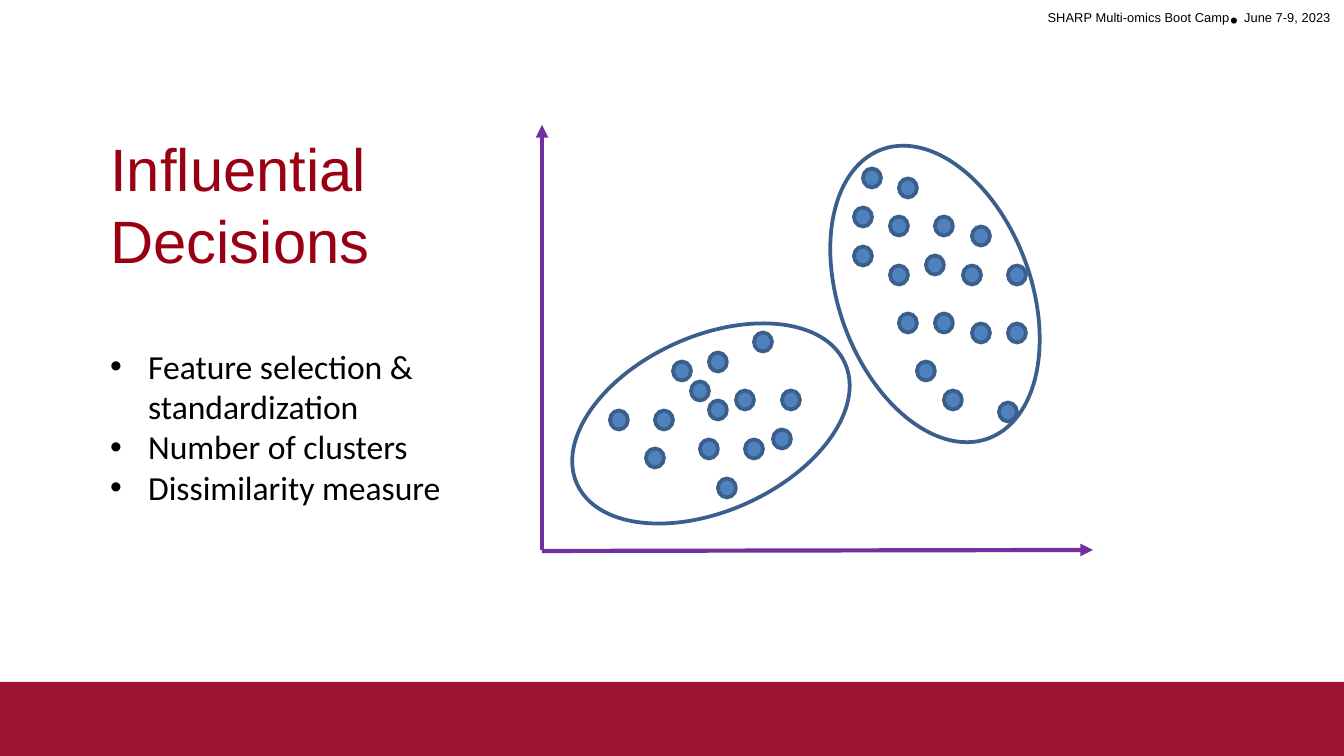
from lxml import etree
from pptx import Presentation
from pptx.dml.color import RGBColor
from pptx.enum.shapes import MSO_CONNECTOR, MSO_SHAPE
from pptx.enum.text import MSO_ANCHOR, MSO_AUTO_SIZE, PP_ALIGN
from pptx.oxml.ns import qn
from pptx.util import Emu, Pt

RECTANGLE, ELLIPSE = MSO_SHAPE.RECTANGLE, MSO_SHAPE.OVAL
STRAIGHT = MSO_CONNECTOR.STRAIGHT
TOP, NO_FIT = MSO_ANCHOR.TOP, MSO_AUTO_SIZE.NONE
LEFT, RIGHT = PP_ALIGN.LEFT, PP_ALIGN.RIGHT

CRIMSON = RGBColor(0x9E, 0x14, 0x35)
TITLE_RED = RGBColor(0x99, 0x00, 0x14)
BLACK = RGBColor(0x00, 0x00, 0x00)
DOT_BLUE = RGBColor(0x4F, 0x81, 0xBD)
OUTLINE_BLUE = RGBColor(0x3A, 0x5F, 0x8C)
PURPLE = RGBColor(0x70, 0x30, 0xA0)

PAGE_SIZE = (1344, 756)
EMU_PER_PX = 914400 * 10 / 1344

HEADER = [("SHARP Multi-omics Boot Camp", True), ("• ", False), ("June 7-9, 2023", True)]
TITLE = "Influential Decisions"
BULLETS = ["Feature selection & standardization", "Number of clusters", "Dissimilarity measure"]

HEADER_BOX = (812, 0, 532, 40)
TITLE_BOX = (97, 125, 396, 160)
BULLET_BOX = (97, 339, 396, 178)
FOOTER_BAR = (0, 682, 1344, 74)
BULLET_INDENT = 38
DOT_WIDTH, DOT_HEIGHT = 18, 19

CLUSTERS = [
    {
        "outline": (781, 198, 308, 192),
        "rotation": 69.7,
        "dots": [
            (872, 178), (908, 188), (863, 217), (899, 226), (944, 226), (981, 236),
            (863, 256), (935, 265), (899, 275), (972, 275), (1017, 275),
            (908, 323), (944, 323), (981, 333), (1017, 333),
            (926, 371), (953, 400), (1008, 412),
        ],
    },
    {
        "outline": (564, 336, 294, 175),
        "rotation": 335.7,
        "dots": [
            (763, 342), (718, 362), (682, 371), (700, 391), (745, 400), (791, 400),
            (718, 410), (619, 420), (664, 420), (782, 439), (709, 449), (754, 449),
            (655, 458), (727, 488),
        ],
    },
]
AXES = [((542, 550), (542, 125)), ((542, 551), (1093, 550))]


def px(value):
    return Emu(round(value * EMU_PER_PX))


def scaled(values):
    return [px(value) for value in values]


def style(font, name, size, color):
    font.name, font.size = name, Pt(size)
    font.color.rgb = color


def add_box(page, place):
    box = page.shapes.add_textbox(*scaled(place))
    box.text_frame.word_wrap = True
    return box.text_frame


def add_preset(page, kind, place, fill=None, line=None):
    shape = page.shapes.add_shape(kind, *scaled(place))
    shape.shadow.inherit = False
    if fill is None:
        shape.fill.background()
    else:
        shape.fill.solid()
        shape.fill.fore_color.rgb = fill
    if line is None:
        shape.line.fill.background()
    else:
        shape.line.color.rgb = line
        shape.line.width = Pt(2)
    return shape


def add_header(page):
    para = add_box(page, HEADER_BOX).paragraphs[0]
    para.alignment = RIGHT
    for text, raised in HEADER:
        span = para.add_run()
        span.text = text
        style(span.font, "Arial", 12, BLACK)
        if raised:
            span._r.get_or_add_rPr().set("baseline", "30000")


def add_title(page):
    title = page.shapes.title
    title.left, title.top, title.width, title.height = scaled(TITLE_BOX)
    frame = title.text_frame
    frame.text = TITLE
    frame.word_wrap, frame.auto_size, frame.vertical_anchor = True, NO_FIT, TOP
    frame.paragraphs[0].alignment = LEFT
    style(frame.paragraphs[0].runs[0].font, "Arial", 32, TITLE_RED)


def add_bullets(page):
    frame = add_box(page, BULLET_BOX)
    frame.text = "\n".join(BULLETS)
    for para in frame.paragraphs:
        properties = para._p.get_or_add_pPr()
        properties.set("marL", str(px(BULLET_INDENT)))
        properties.set("indent", str(-px(BULLET_INDENT)))
        etree.SubElement(properties, qn("a:buFont")).set("typeface", "Arial")
        etree.SubElement(properties, qn("a:buChar")).set("char", "•")
        style(para.runs[0].font, "Calibri", 18, BLACK)


def add_cluster(page, cluster):
    for x, y in cluster["dots"]:
        place = (x - DOT_WIDTH / 2, y - DOT_HEIGHT / 2, DOT_WIDTH, DOT_HEIGHT)
        add_preset(page, ELLIPSE, place, DOT_BLUE, OUTLINE_BLUE)
    outline = add_preset(page, ELLIPSE, cluster["outline"], line=OUTLINE_BLUE)
    outline.rotation = cluster["rotation"]


def add_axis(page, start, end):
    axis = page.shapes.add_connector(STRAIGHT, *scaled(start + end))
    axis.line.color.rgb = PURPLE
    axis.line.width = Pt(2.25)
    etree.SubElement(axis.line._get_or_add_ln(), qn("a:tailEnd")).set("type", "triangle")
    etree.SubElement(axis._element.spPr, qn("a:effectLst"))


def main():
    deck = Presentation()
    deck.slide_width, deck.slide_height = scaled(PAGE_SIZE)
    page = deck.slides.add_slide(deck.slide_layouts[5])
    add_preset(page, RECTANGLE, FOOTER_BAR, CRIMSON)
    add_header(page)
    add_title(page)
    add_bullets(page)
    for cluster in CLUSTERS:
        add_cluster(page, cluster)
    for start, end in AXES:
        add_axis(page, start, end)
    deck.save("out.pptx")


if __name__ == "__main__":
    main()
